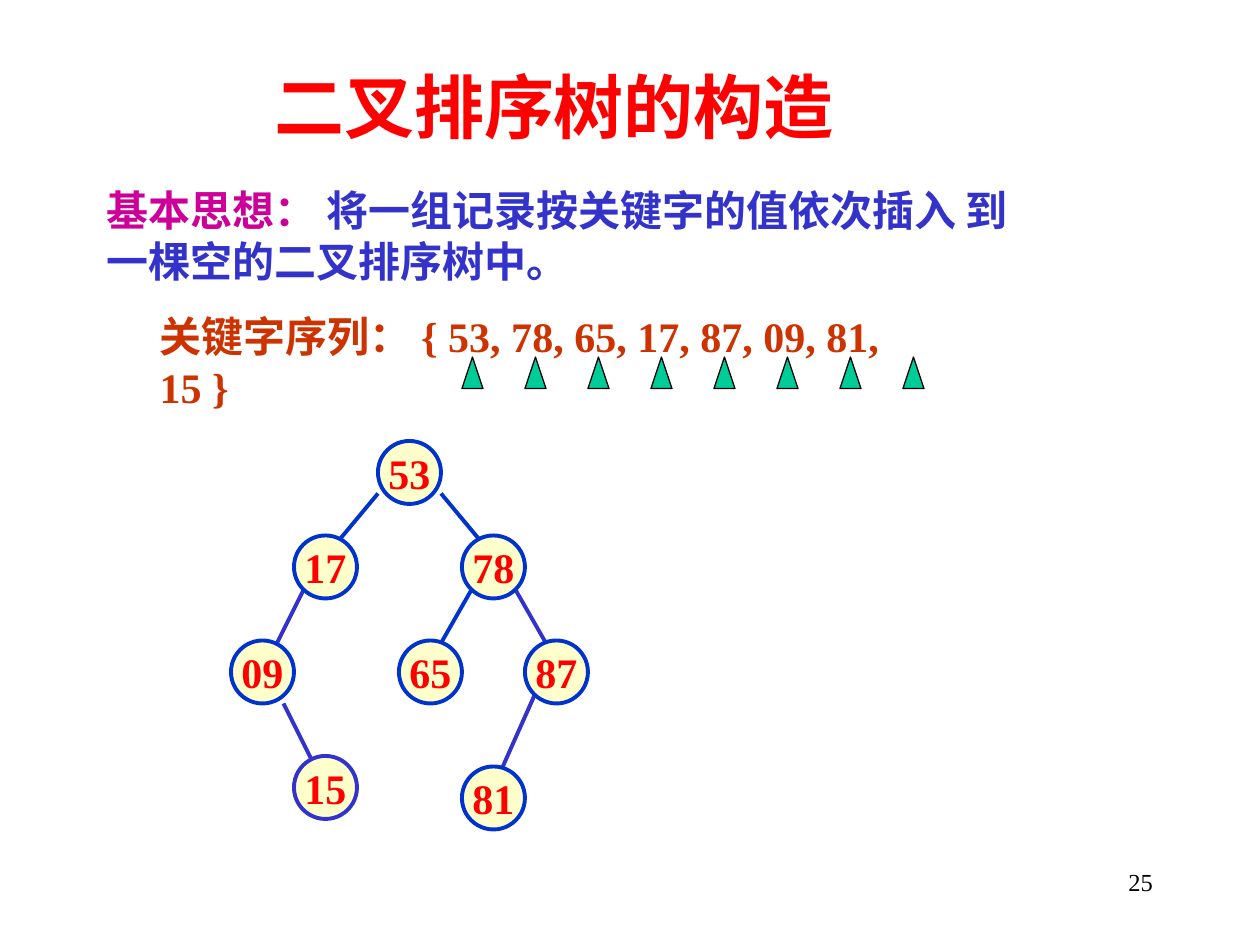
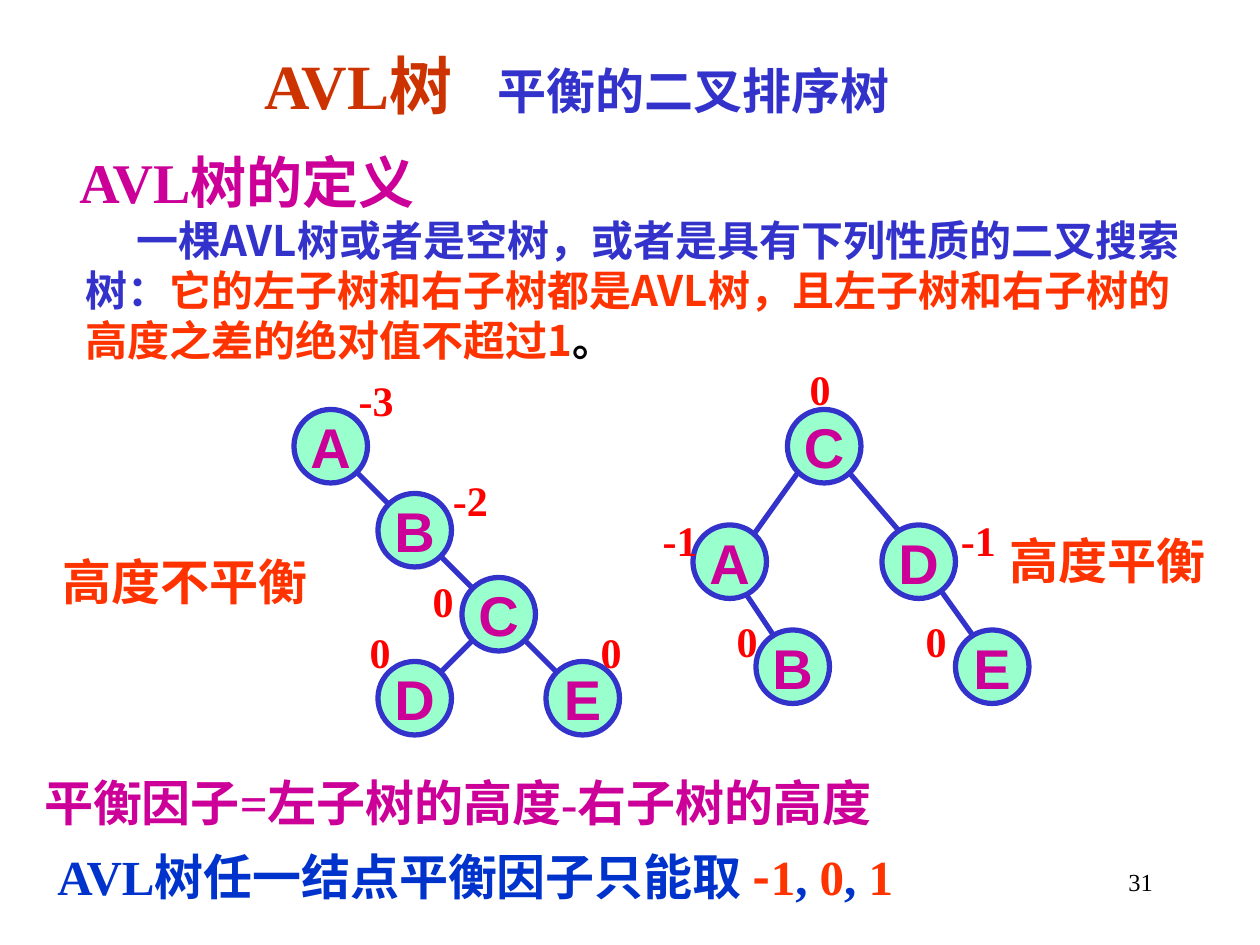
from dataclasses import dataclass
from lxml.etree import SubElement
from pptx import Presentation
from pptx.dml.color import RGBColor
from pptx.enum.shapes import MSO_CONNECTOR as Link, MSO_SHAPE as Shape
from pptx.enum.text import MSO_ANCHOR as Anchor, PP_ALIGN as Align
from pptx.oxml.ns import qn
from pptx.util import Cm, Pt


@dataclass(frozen=True)
class Theme:
    serif: str = "Times New Roman"
    sans: str = "Arial"
    chinese: str = "Noto Sans CJK SC"
    black: str = "000000"
    red: str = "FF0000"
    magenta: str = "CC0099"
    violet: str = "3333CC"
    blue: str = "0033CC"
    rust: str = "CC3300"
    orange: str = "FF3300"
    cream: str = "FFFFCC"
    mint: str = "99FFCC"
    teal: str = "00CC99"
    title: int = 40
    subtitle: int = 36
    heading: int = 32
    lead: int = 28
    body: int = 24
    number: int = 14


theme = Theme()
color = RGBColor.from_string
step = Cm(2.54) // 12


def write(box, text, *, ink=theme.black, size=theme.body, font=theme.serif, bold=True,
          align=Align.LEFT, anchor=Anchor.TOP, wrap=True, indent=None, tab=None):
    frame = box.text_frame
    frame.word_wrap = wrap
    frame.vertical_anchor = anchor
    para = frame.paragraphs[0]
    para.alignment = align
    properties = para._p.get_or_add_pPr()
    if indent:
        properties.set("indent", str(indent))
    if tab:
        stops = SubElement(properties, qn("a:tabLst"))
        SubElement(stops, qn("a:tab"), pos=str(tab), algn="l")
    para.line_spacing = Pt(1.2 * size)
    spans = [(text, {})] if isinstance(text, str) else text
    for words, change in spans:
        span = para.add_run()
        span.text = words
        span.font.size = Pt(change.get("size", size))
        span.font.bold = bold
        span.font.color.rgb = color(change.get("ink", ink))
        span.font.name = change.get("font", font)
        SubElement(span._r.get_or_add_rPr(), qn("a:ea"), typeface=theme.chinese)


def draw(page, kind, left, top, width, height, fill, line, weight):
    shape = page.shapes.add_shape(kind, left, top, width, height)
    shape.shadow.inherit = False
    shape.fill.solid()
    shape.fill.fore_color.rgb = color(fill)
    shape.line.color.rgb = color(line)
    shape.line.width = Pt(weight)
    return shape


deck = Presentation()
deck.slide_width, deck.slide_height = Cm(25.4), Cm(19.05)
building, balance = [deck.slides.add_slide(deck.slide_layouts[6]) for _ in range(2)]

search_nodes = [
    ("53", 36, 42, theme.blue), ("78", 44, 51, theme.blue), ("65", 38, 61, theme.blue),
    ("17", 28, 51, theme.blue), ("87", 50, 61, theme.blue), ("09", 22, 61, theme.blue),
    ("81", 44, 73, theme.blue), ("15", 28, 72, theme.violet),
]
search_edges = [
    (27, 67, 30, 73, theme.violet), (49, 56, 53, 63, theme.violet),
    (29, 56, 26, 62, theme.violet), (51, 66, 47, 75, theme.violet),
    (42, 47, 47, 53, theme.blue), (45, 56, 41, 63, theme.blue), (36, 47, 31, 53, theme.blue),
]
avl_nodes = [
    (name, column, row, theme.violet) for name, column, row in [
        ("A", 66, 50), ("B", 72, 60), ("C", 75, 39), ("D", 84, 50), ("E", 91, 60),
        ("A", 28, 39), ("B", 36, 47), ("C", 44, 55), ("D", 36, 63), ("E", 52, 63)]
]
avl_edges = [
    (*ends, theme.violet) for ends in [
        (70, 55, 74, 61), (88, 54, 93, 61), (80, 44, 86, 51), (76, 45, 71, 52),
        (48, 59, 54, 65), (40, 51, 46, 57), (32, 43, 38, 49), (46, 60, 40, 66)]
]
trees = [
    (building, search_nodes, search_edges, 6, theme.cream, 2.25,
     dict(ink=theme.red, size=theme.body)),
    (balance, avl_nodes, avl_edges, 7, theme.mint, 3,
     dict(ink=theme.magenta, size=theme.heading, font=theme.sans)),
]
for page, nodes, edges, diameter, fill, weight, style in trees:
    for *ends, ink in edges:
        edge = page.shapes.add_connector(Link.STRAIGHT, *[end * step for end in ends])
        edge.line.color.rgb = color(ink)
        edge.line.width = Pt(weight)
        SubElement(edge._element.spPr, qn("a:effectLst"))
    for name, column, row, ink in nodes:
        node = draw(page, Shape.OVAL, column * step, row * step, diameter * step,
                    diameter * step, fill, ink, weight)
        write(node, name, align=Align.CENTER, anchor=Anchor.MIDDLE, wrap=False, **style)

for index in range(8):
    draw(building, Shape.ISOSCELES_TRIANGLE, (44 + 6 * index) * step, 34 * step,
         2 * step, 3 * step, theme.teal, theme.black, 0.75)

texts = [
    (building, 5.28, 1.27, 12.5, 1.7, "二叉排序树的构造",
     dict(ink=theme.red, size=theme.title, anchor=Anchor.MIDDLE)),
    (building, 1.9, 3.6, 18.85, 2.29,
     [("基本思想：", dict(ink=theme.magenta)),
      (" 将一组记录按关键字的值依次插入 到一棵空的二叉排序树中。", {})],
     dict(ink=theme.violet)),
    (building, 2.97, 6.14, 16.51, 2.29,
     "关键字序列： { 53, 78, 65, 17, 87, 09, 81, 15 }", dict(ink=theme.rust)),
    (balance, 5.08, 1.06, 18.42, 1.27,
     [("AVL树\t", dict(ink=theme.rust)),
      ("平衡的二叉排序树", dict(ink=theme.violet, size=theme.lead))],
     dict(size=theme.subtitle, anchor=Anchor.MIDDLE, tab=Cm(4.71))),
    (balance, 1.35, 2.84, 8, 1.63, "AVL树的定义",
     dict(ink=theme.magenta, size=theme.heading)),
    (balance, 1.48, 4.19, 23.06, 3.5,
     [("一棵AVL树或者是空树，或者是具有下列性质的二叉搜索树：", dict(ink=theme.violet)),
      ("它的左子树和右子树都是AVL树，且左子树和右子树的高度之差的绝对值不超过1",
       dict(ink=theme.orange)),
      ("。", {})],
     dict(font=theme.chinese, indent=Cm(1.03))),
    (balance, 1.02, 11, 6, 1.45, "高度不平衡",
     dict(ink=theme.orange, size=theme.lead, font=theme.chinese)),
    (balance, 20.1, 10.58, 5.2, 1.45, "高度平衡",
     dict(ink=theme.orange, size=theme.lead, font=theme.chinese)),
    (balance, 0.64, 15.45, 19, 1.45, "平衡因子=左子树的高度-右子树的高度",
     dict(ink=theme.magenta, size=theme.lead)),
    (balance, 0.91, 16.95, 19, 1.45,
     [("AVL树任一结点平衡因子只能取 ", {}),
      ("-", dict(ink=theme.orange, font=theme.chinese)), ("1", dict(ink=theme.orange)),
      (", ", {}), ("0", dict(ink=theme.orange)), (", ", {}), ("1", dict(ink=theme.orange))],
     dict(ink=theme.blue, size=theme.lead)),
]
balance_factors = [
    ("-3", 6.98, 7.42), ("-2", 8.88, 9.45), ("0", 8.47, 11.48), ("0", 7.2, 12.5),
    ("0", 11.86, 12.5), ("0", 16.07, 7.2), ("-1", 13.11, 10.25), ("-1", 19.12, 10.25),
    ("0", 14.6, 12.28), ("0", 18.41, 12.28),
]
texts += [(balance, left, top, 1.5, 1.27, factor, dict(ink=theme.red))
          for factor, left, top in balance_factors]
texts += [(page, 18.2, 17.36, 5.29, 1.27, number,
           dict(size=theme.number, bold=False, align=Align.RIGHT))
          for page, number in [(building, "25"), (balance, "31")]]
for page, left, top, width, height, text, style in texts:
    box = page.shapes.add_textbox(Cm(left), Cm(top), Cm(width), Cm(height))
    write(box, text, **style)

deck.save("out.pptx")
